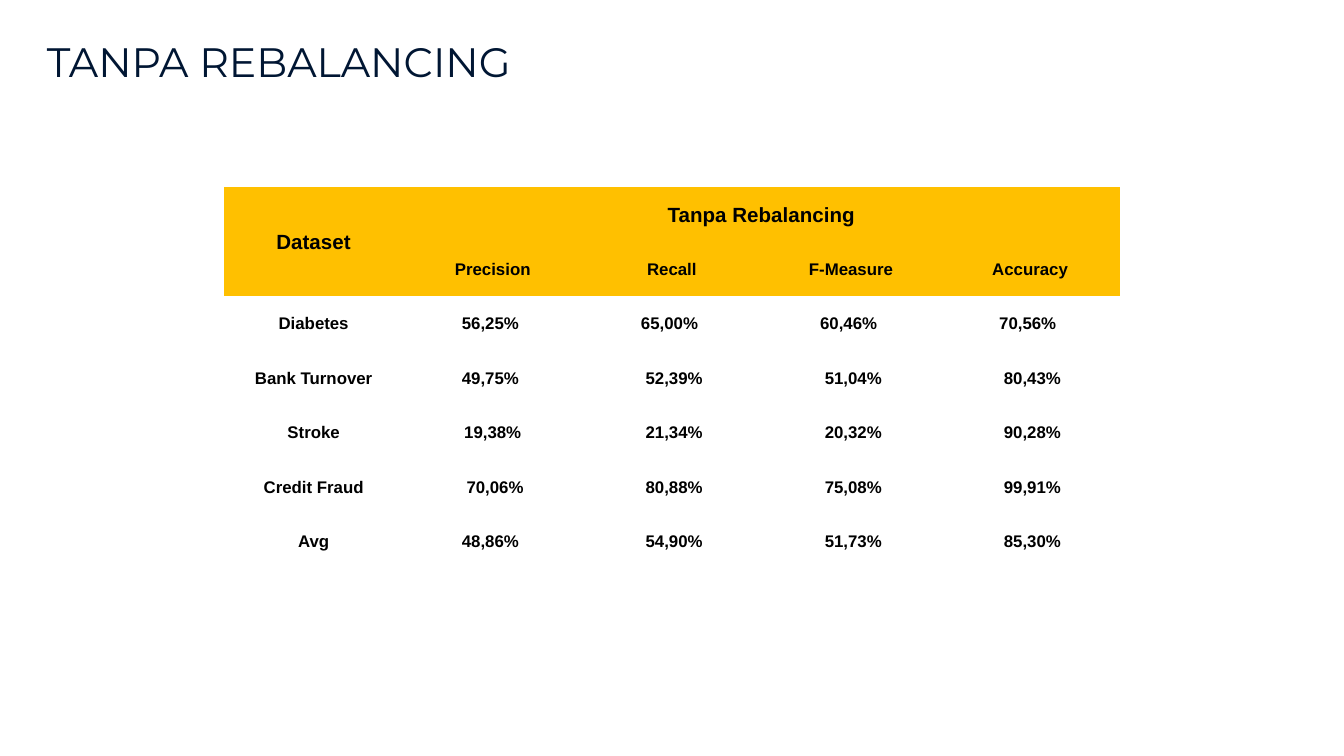
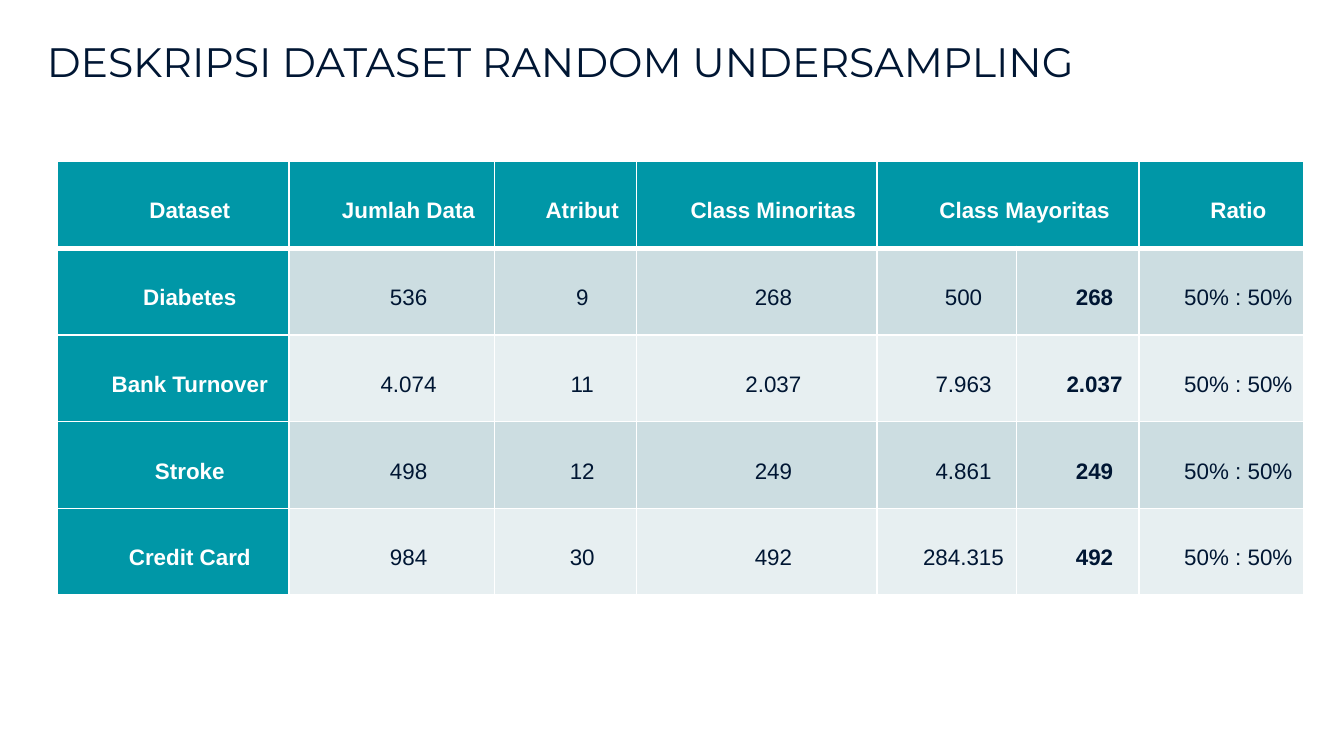
import dataclasses

import lxml.etree
import pptx
import pptx.dml.color
import pptx.enum.text
import pptx.oxml.ns
import pptx.util

ALIGN = pptx.enum.text.PP_ALIGN
ANCHOR = pptx.enum.text.MSO_ANCHOR


@dataclasses.dataclass(frozen=True)
class Theme:
    navy: str = "001633"
    black: str = "000000"
    white: str = "FFFFFF"
    gold: str = "FFC000"
    teal: str = "0097A7"
    mist: str = "CCDDE1"
    pale: str = "E7EFF1"
    head: str = "Montserrat"
    body: str = "Arial"
    title: int = 22
    large: int = 11
    small: int = 9
    grid: int = 12
    thin: int = 1
    thick: int = 3


def rgb(code):
    return pptx.dml.color.RGBColor.from_string(code)


def write(frame, text, font, size, color, bold=False, align=ALIGN.LEFT, indent=0, line=1.0):
    para = frame.paragraphs[0]
    para.alignment = align
    para.line_spacing = line
    if indent:
        para._p.get_or_add_pPr().set("indent", str(pptx.util.Inches(indent)))
    run = para.add_run()
    run.text = text
    run.font.name = font
    run.font.size = pptx.util.Pt(size)
    run.font.bold = bold
    run.font.color.rgb = rgb(color)


def edge(cell, sides):
    props = cell._tc.get_or_add_tcPr()
    name = pptx.oxml.ns.qn
    for spot, (side, (color, width)) in enumerate(sides.items()):
        line = lxml.etree.Element(name("a:ln" + side), w=str(pptx.util.Pt(width)))
        if color:
            fill = lxml.etree.SubElement(line, name("a:solidFill"))
            lxml.etree.SubElement(fill, name("a:srgbClr"), val=color)
        else:
            lxml.etree.SubElement(line, name("a:noFill"))
        props.insert(spot, line)


class Deck:
    def __init__(self, theme):
        self.theme = theme
        self.show = pptx.Presentation()
        self.show.slide_width = pptx.util.Inches(10)
        self.show.slide_height = pptx.util.Inches(10) * 9 // 16
        self.slide = None

    def across(self, cols):
        return int(self.show.slide_width * cols / 100)

    def down(self, rows):
        return int(self.show.slide_height * rows / 100)

    def page(self, title, width):
        self.slide = self.show.slides.add_slide(self.show.slide_layouts[6])
        box = self.slide.shapes.add_textbox(
            self.across(2.5), self.down(3.56), self.across(width), self.down(9.6))
        frame = box.text_frame
        frame.word_wrap = True
        frame.vertical_anchor = ANCHOR.BOTTOM
        pad = pptx.util.Inches(0.1)
        frame.margin_left = frame.margin_right = pad
        frame.margin_top = frame.margin_bottom = pad
        write(frame, title, self.theme.head, self.theme.title, self.theme.navy)

    def table(self, data, left, top, widths, height, spans, pads, style):
        count = len(data)
        frame = self.slide.shapes.add_table(
            count, len(widths), self.across(left), self.down(top),
            self.across(sum(widths)), self.down(height * count))
        table = frame.table
        table.first_row = table.horz_banding = False
        for col, width in zip(table.columns, widths):
            col.width = self.across(width)
        for row in table.rows:
            row.height = self.down(height)
        for r, c, last, end in spans:
            table.cell(r, c).merge(table.cell(last, end))
        for r, words in enumerate(data):
            for c, text in enumerate(words):
                self.cell(table.cell(r, c), text, pads, *style(r, c))

    def cell(self, cell, text, pads, fill, sides, form):
        cell.vertical_anchor = ANCHOR.MIDDLE
        cell.margin_left = cell.margin_right = pptx.util.Inches(pads[0])
        cell.margin_top = pptx.util.Inches(pads[1])
        cell.margin_bottom = 0
        if fill:
            cell.fill.solid()
            cell.fill.fore_color.rgb = rgb(fill)
        else:
            cell.fill.background()
        edge(cell, sides)
        if text:
            write(cell.text_frame, text, self.theme.body, align=ALIGN.CENTER, **form)

    def score(self, r, c):
        theme = self.theme
        size = theme.small if r else theme.large
        form = dict(size=size, color=theme.black, bold=True)
        return theme.gold if r < 2 else None, dict.fromkeys("LRTB", (None, 0)), form

    def sample(self, r, c):
        theme = self.theme
        head = r == 0 or c == 0
        fill = theme.teal if head else theme.mist if r % 2 else theme.pale
        sides = dict.fromkeys("LRTB", (theme.white, theme.thin))
        if r < 2:
            sides["T" if r else "B"] = (theme.white, theme.thick)
        form = dict(size=theme.grid, color=theme.white if head else theme.navy,
                    bold=head or c == 5, indent=0.25, line=1.5)
        return fill, sides, form


SCORES = [
    ["Dataset", "Tanpa Rebalancing", "", "", ""],
    ["", "Precision", "Recall", "F-Measure", "Accuracy"],
    ["Diabetes", "56,25% ", "65,00% ", "60,46% ", "70,56% "],
    ["Bank Turnover", "49,75% ", " 52,39%", " 51,04%", " 80,43%"],
    ["Stroke", "19,38%", " 21,34%", " 20,32%", " 90,28%"],
    ["Credit Fraud", " 70,06%", " 80,88%", " 75,08%", " 99,91%"],
    ["Avg", "48,86% ", " 54,90%", " 51,73%", " 85,30%"],
]

RATIO = "50% : 50%"
SAMPLES = [
    ["Dataset", "Jumlah Data", "Atribut", "Class Minoritas", "Class Mayoritas", "", "Ratio"],
    ["Diabetes", "536", "9", "268", "500", "268", RATIO],
    ["Bank Turnover", "4.074", "11", "2.037", "7.963", "2.037", RATIO],
    ["Stroke", "498", "12", "249", "4.861", "249", RATIO],
    ["Credit Card", "984", "30", "492", "284.315", "492", RATIO],
]


def main():
    deck = Deck(Theme())
    deck.page("TANPA REBALANCING", 43.5)
    deck.table(SCORES, 16.67, 24.75, [13.33] * 5, 7.21,
               [(0, 0, 1, 0), (0, 1, 0, 4)], (0.01, 0.01), deck.score)
    deck.page("DESKRIPSI DATASET RANDOM UNDERSAMPLING", 83.6)
    deck.table(SAMPLES, 4.25, 21.33, [17.25, 15.3, 10.55, 17.9, 10.4, 9.1, 12.3], 11.48,
               [(0, 4, 0, 5)], (0.07, 0), deck.sample)
    deck.show.save("out.pptx")


if __name__ == "__main__":
    main()
